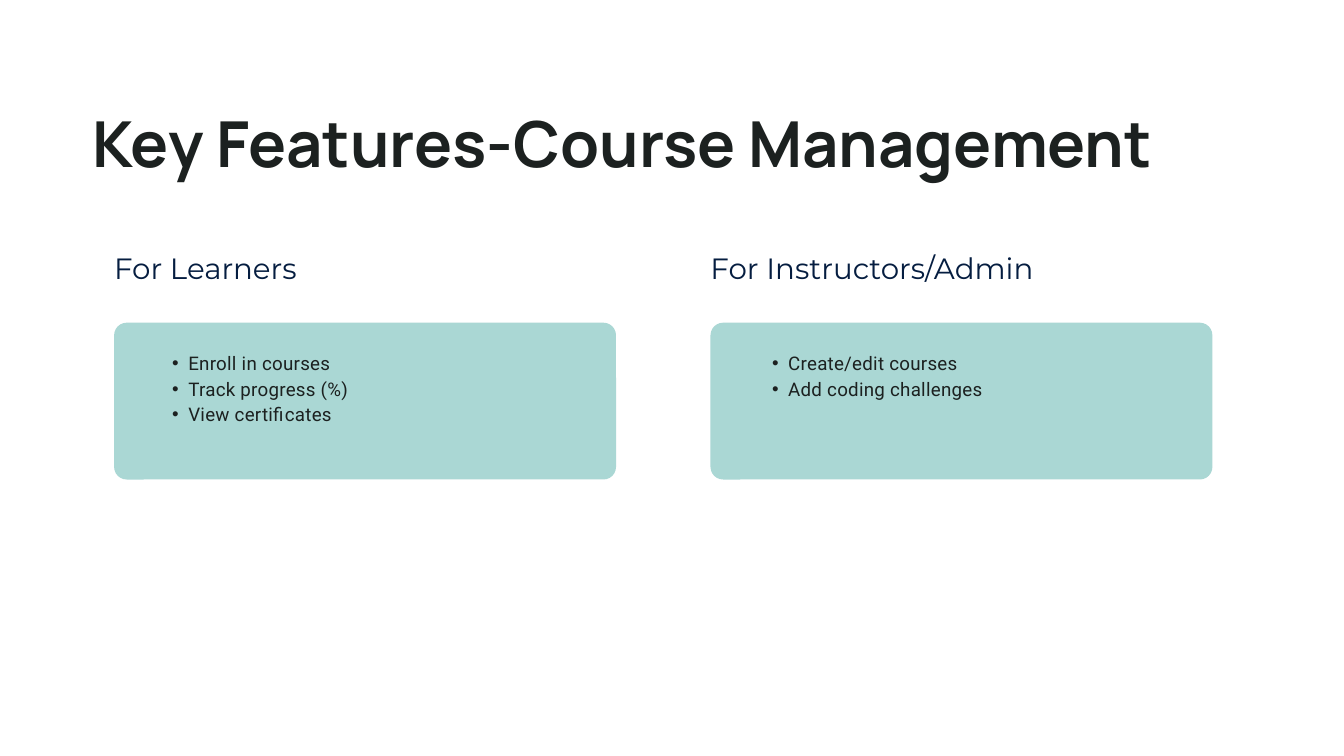
import pptx
import pptx.util
import pptx.dml.color
import pptx.enum.shapes
import pptx.enum.text
import pptx.oxml.ns
import lxml.etree

PX = 9525  # EMU in one px, 96 px to the inch
INK = pptx.dml.color.RGBColor(0x1C, 0x21, 0x20)
NAVY = pptx.dml.color.RGBColor(0x05, 0x1D, 0x40)
TEAL = pptx.dml.color.RGBColor(0xAA, 0xD7, 0xD4)
ALIGN = pptx.enum.text.PP_ALIGN

# Font, colour and paragraph values for each kind of text
TITLE = {
    "font": {"name": "Manrope", "size": pptx.util.Pt(67.9), "bold": True},
    "color": INK,
    "para": {"line_spacing": pptx.util.Pt(65.8), "alignment": ALIGN.LEFT},
}
HEAD = {
    "font": {"name": "Montserrat", "size": pptx.util.Pt(31.4), "bold": False},
    "color": NAVY,
    "para": {"line_spacing": pptx.util.Pt(43.9), "alignment": ALIGN.LEFT},
}
LIST = {
    "font": {"name": "Roboto", "size": pptx.util.Pt(20.1), "bold": False},
    "color": INK,
    "para": {"line_spacing": pptx.util.Pt(27.1), "alignment": ALIGN.JUSTIFY},
}
FRAME = {
    "margin_left": 0, "margin_top": 0, "margin_right": 0, "margin_bottom": 0,
    "word_wrap": True,
    "auto_size": pptx.enum.text.MSO_AUTO_SIZE.NONE,
    "vertical_anchor": pptx.enum.text.MSO_ANCHOR.TOP,
}


def apply(item, values):
    for name, value in values.items():
        setattr(item, name, value)


class Deck:
    def __init__(self, wide, high):
        self.file = pptx.Presentation()
        self.file.slide_width = wide * PX
        self.file.slide_height = high * PX
        # The comparison layout has a title and two pairs of head and list
        self.slide = self.file.slides.add_slide(self.file.slide_layouts[4])
        self.holds = {p.placeholder_format.idx: p for p in self.slide.placeholders}

    def text(self, slot, box, lines, style):
        """Place and fill one placeholder."""
        hold = self.holds[slot]
        for name, value in zip(("left", "top", "width", "height"), box):
            setattr(hold, name, value * PX)
        frame = hold.text_frame
        apply(frame, FRAME)
        frame.text = "\n".join(lines)
        for para in frame.paragraphs:
            apply(para, style["para"])
            para.space_before = pptx.util.Pt(0)
            apply(para.runs[0].font, style["font"])
            para.runs[0].font.color.rgb = style["color"]
        return frame

    def list(self, slot, box, lines):
        """Fill a placeholder with bullets and slightly spaced letters."""
        for para in self.text(slot, box, lines, LIST).paragraphs:
            prop = para._p.get_or_add_pPr()
            prop.set("marL", str(45 * PX))
            prop.set("indent", str(-23 * PX))
            for tag, key, value in (("a:buFont", "typeface", "Arial"),
                                    ("a:buChar", "char", "•")):
                name = pptx.oxml.ns.qn(tag)
                lxml.etree.SubElement(prop, name).set(key, value)
            para.runs[0]._r.get_or_add_rPr().set("spc", "30")

    def card(self, left, top, wide, high):
        """Draw a rounded panel behind the text."""
        kind = pptx.enum.shapes.MSO_SHAPE.ROUNDED_RECTANGLE
        card = self.slide.shapes.add_shape(
            kind, left * PX, top * PX, wide * PX, high * PX)
        card.adjustments[0] = 0.08
        card.shadow.inherit = False
        card.fill.solid()
        card.fill.fore_color.rgb = TEAL
        card.line.fill.background()
        card.element.getparent().insert(2, card.element)


def main():
    deck = Deck(1920, 1080)

    # Title
    deck.text(0, (132, 169, 1766, 99), ["Key Features-Course Management"], TITLE)

    # Two columns: heading, card, list
    columns = (
        ("For Learners", 61,
         ["Enroll in courses", "Track progress (%)", "View certificates"]),
        ("For Instructors/Admin", 66,
         ["Create/edit courses", "Add coding challenges"]),
    )
    for col, (head, inset, items) in enumerate(columns):
        left = 163 + 852 * col
        slot = 1 + 2 * col
        deck.card(left, 461, 717, 224)
        deck.text(slot, (left, 349, 552, 56), [head], HEAD)
        deck.list(slot + 1, (left + inset, 499, 373, 36 * (len(items) + 1)), items)

    deck.file.save("out.pptx")


if __name__ == "__main__":
    main()
